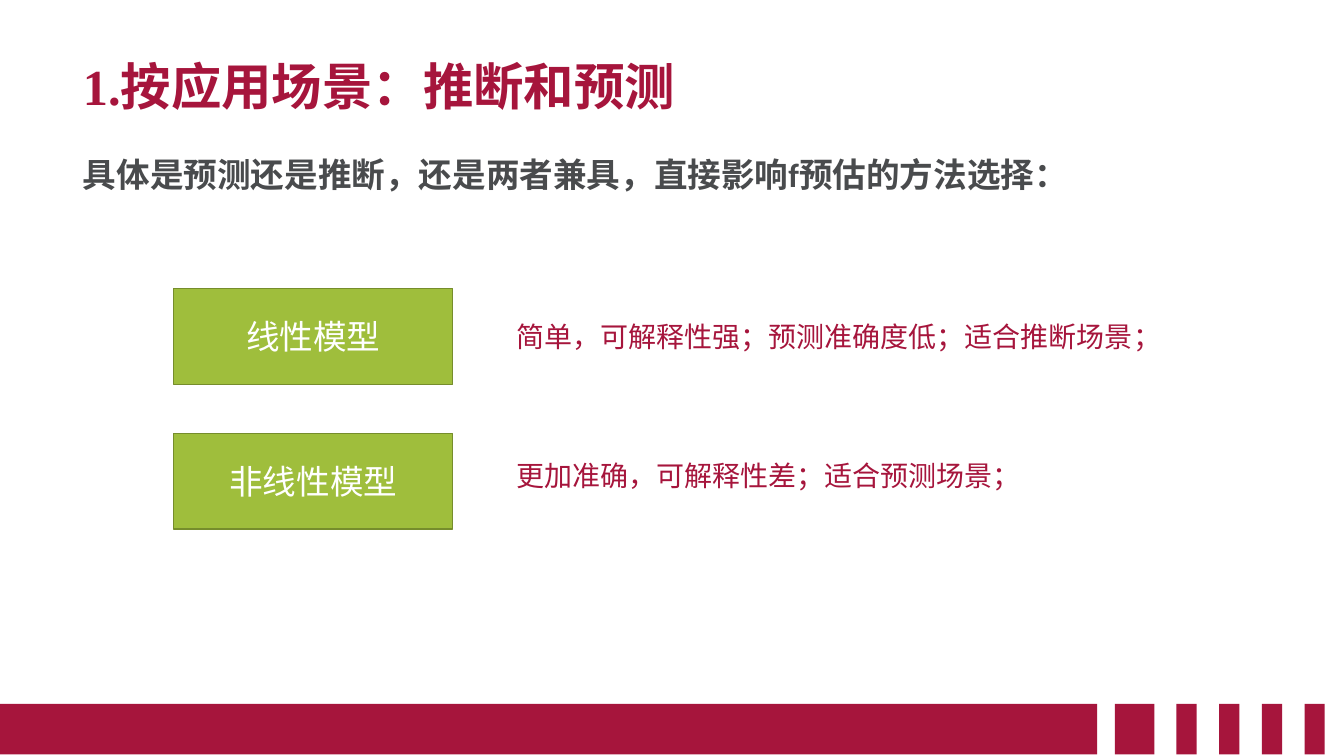
from lxml import etree
from pptx import Presentation
from pptx.dml.color import RGBColor
from pptx.enum.shapes import MSO_SHAPE
from pptx.enum.text import MSO_ANCHOR, MSO_AUTO_SIZE, PP_ALIGN
from pptx.oxml.ns import qn
from pptx.util import Pt

RECTANGLE = MSO_SHAPE.RECTANGLE
TOP, MIDDLE = MSO_ANCHOR.TOP, MSO_ANCHOR.MIDDLE
LEFT, CENTER = PP_ALIGN.LEFT, PP_ALIGN.CENTER
NO_AUTOFIT = MSO_AUTO_SIZE.NONE

CRIMSON = RGBColor(0xA6, 0x15, 0x3C)
GRAY = RGBColor(0x49, 0x4B, 0x4D)
GREEN = RGBColor(0x9F, 0xBE, 0x3C)
DARK_GREEN = RGBColor(0x76, 0x8D, 0x2C)
WHITE = RGBColor(0xFF, 0xFF, 0xFF)

CHINESE_FONT = "Noto Sans CJK SC"
TITLE_FONT = {"name": "Times New Roman", "size": Pt(36), "bold": True}
BODY_FONT = {"name": "Calibri", "size": Pt(24), "bold": True}
MODEL_FONT = {"name": "Calibri", "size": Pt(24)}
NOTE_FONT = {"name": CHINESE_FONT, "size": Pt(20)}

MARGIN, CONTENT_WIDTH = 52, 857
BAR_TOP, BAR_HEIGHT = 502.8, 36
STRIPE_LEFT, STRIPE_WIDTH, STRIPE_PITCH = 840.4, 14.4, 30.5
MODEL_LEFT, MODEL_WIDTH, MODEL_HEIGHT = 124, 199.5, 68.5
NOTE_LEFT, NOTE_HEIGHT = 361.5, 31.5

# model, box top, note, note top, note width, note wraps
MODELS = [
    ("线性模型", 206, "简单，可解释性强；预测准确度低；适合推断场景；", 224.5, 480, True),
    ("非线性模型", 309.5, "更加准确，可解释性差；适合预测场景；", 324, 378, False),
]


def write_text(shape, text, font_format, color, alignment=LEFT, anchor=TOP, wrap=True):
    frame = shape.text_frame
    frame.auto_size = NO_AUTOFIT
    frame.word_wrap = wrap
    frame.vertical_anchor = anchor
    paragraph = frame.paragraphs[0]
    paragraph.alignment = alignment
    paragraph.space_before = Pt(0)
    run = paragraph.add_run()
    run.text = text
    for name, value in font_format.items():
        setattr(run.font, name, value)
    run.font.color.rgb = color
    east_asian = etree.SubElement(run.font._element, qn("a:ea"))
    east_asian.set("typeface", CHINESE_FONT)
    return paragraph


def fill_placeholder(placeholder, top, height, text, font_format, color, anchor):
    placeholder.left, placeholder.top = Pt(MARGIN), Pt(top)
    placeholder.width, placeholder.height = Pt(CONTENT_WIDTH), Pt(height)
    paragraph = write_text(placeholder, text, font_format, color, anchor=anchor)
    paragraph.line_spacing = 0.9
    return paragraph


def remove_bullet(paragraph):
    properties = paragraph._p.get_or_add_pPr()
    properties.set("marL", "0")
    properties.set("indent", "0")
    etree.SubElement(properties, qn("a:buNone"))


def add_rectangle(slide, left, top, width, height, fill, line=None):
    shape = slide.shapes.add_shape(RECTANGLE, Pt(left), Pt(top), Pt(width), Pt(height))
    shape.shadow.inherit = False
    shape.fill.solid()
    shape.fill.fore_color.rgb = fill
    if line is None:
        shape.line.fill.background()
    else:
        shape.line.color.rgb = line
        shape.line.width = Pt(1)
    return shape


def add_footer_bars(slide):
    stripes = [(STRIPE_LEFT + STRIPE_PITCH * i, STRIPE_WIDTH) for i in range(4)]
    for left, width in [(-0.7, 784.5), (796.3, 28.3)] + stripes:
        add_rectangle(slide, left, BAR_TOP, width, BAR_HEIGHT, CRIMSON)


def add_model(slide, name, top, note, note_top, note_width, wrap):
    box = add_rectangle(slide, MODEL_LEFT, top, MODEL_WIDTH, MODEL_HEIGHT, GREEN, DARK_GREEN)
    write_text(box, name, MODEL_FONT, WHITE, CENTER, MIDDLE)
    note_box = slide.shapes.add_textbox(
        Pt(NOTE_LEFT), Pt(note_top), Pt(note_width), Pt(NOTE_HEIGHT))
    write_text(note_box, note, NOTE_FONT, CRIMSON, wrap=wrap)


def main():
    presentation = Presentation()
    presentation.slide_width, presentation.slide_height = Pt(960), Pt(540)
    slide = presentation.slides.add_slide(presentation.slide_layouts[1])
    add_footer_bars(slide)
    fill_placeholder(slide.shapes.title, 36.7, 54, "1.按应用场景：推断和预测",
                     TITLE_FONT, CRIMSON, MIDDLE)
    statement = fill_placeholder(
        slide.placeholders[1], 109.4, 368.6,
        "具体是预测还是推断，还是两者兼具，直接影响f预估的方法选择：",
        BODY_FONT, GRAY, TOP)
    remove_bullet(statement)
    for model in MODELS:
        add_model(slide, *model)
    presentation.save("out.pptx")


if __name__ == "__main__":
    main()
